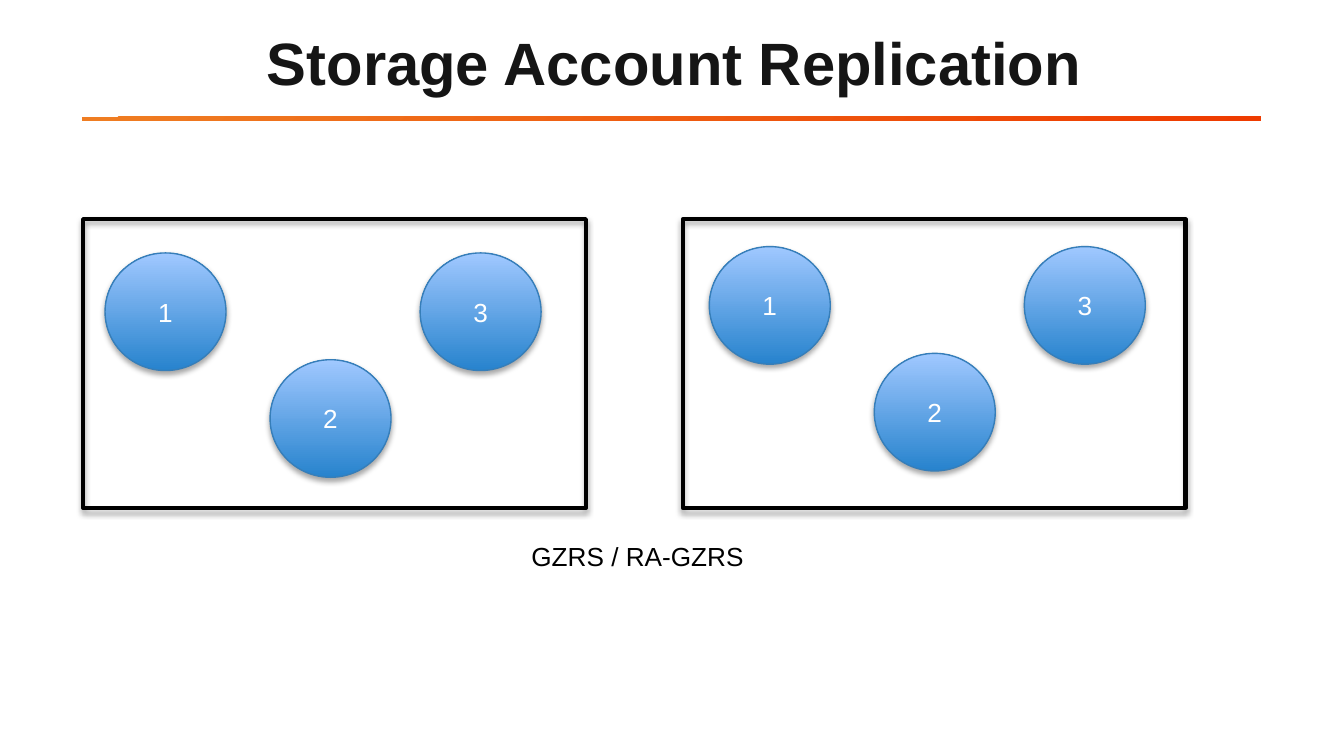
from lxml.etree import SubElement
from pptx import Presentation
from pptx.dml.color import RGBColor
from pptx.enum.shapes import MSO_SHAPE as Shape
from pptx.enum.text import MSO_ANCHOR as Anchor, MSO_AUTO_SIZE as AutoSize, PP_ALIGN as Align
from pptx.oxml.ns import qn
from pptx.util import Pt

BLACK = RGBColor(0x00, 0x00, 0x00)
WHITE = RGBColor(0xFF, 0xFF, 0xFF)
INK = RGBColor(0x15, 0x15, 0x15)
ORANGE = RGBColor(0xEF, 0x7D, 0x22)
RED = RGBColor(0xEE, 0x3B, 0x00)
DEEP_BLUE = RGBColor(0x27, 0x83, 0xCD)
PALE_BLUE = RGBColor(0xA0, 0xC8, 0xFF)
EDGE_BLUE = RGBColor(0x36, 0x7E, 0xB9)


class SlideBuilder:
    font_name = "Arial"
    body_size = 14

    def __init__(self, page):
        self.page = page

    def label(self, box, text, color, size=body_size, bold=False, anchor=Anchor.MIDDLE):
        frame = box.text_frame
        frame.word_wrap = True
        frame.vertical_anchor = anchor
        para = frame.paragraphs[0]
        para.alignment = Align.CENTER
        span = para.add_run()
        span.text = text
        for name, value in {"name": self.font_name, "size": Pt(size), "bold": bold}.items():
            setattr(span.font, name, value)
        span.font.color.rgb = color

    def text(self, left, top, width, height, text, color, **style):
        box = self.page.shapes.add_textbox(Pt(left), Pt(top), Pt(width), Pt(height))
        self.label(box, text, color, **style)
        return box

    def shape(self, kind, left, top, width, height, gradient=None, angle=0,
              line=None, line_width=0, shadow=False):
        shape = self.page.shapes.add_shape(kind, Pt(left), Pt(top), Pt(width), Pt(height))
        shape.shadow.inherit = False
        if gradient:
            shape.fill.gradient()
            shape.fill.gradient_angle = angle
            for stop, color in zip(shape.fill.gradient_stops, gradient):
                stop.color.rgb = color
        else:
            shape.fill.background()
        if line is None:
            shape.line.fill.background()
        else:
            shape.line.color.rgb = line
            shape.line.width = Pt(line_width)
        if shadow:
            self.drop_shadow(shape)
        return shape

    def drop_shadow(self, shape):
        effects = shape._element.spPr.find(qn("a:effectLst"))
        outer = SubElement(effects, qn("a:outerShdw"), blurRad=str(Pt(3.1)),
                           dist=str(Pt(1.8)), dir="5400000", rotWithShape="0")
        color = SubElement(outer, qn("a:srgbClr"), val=str(BLACK))
        SubElement(color, qn("a:alpha"), val="35000")

    def region(self, left, top):
        self.shape(Shape.RECTANGLE, left, top, 269.3, 154.8,
                   line=BLACK, line_width=2.25, shadow=True)

    def replica(self, left, top, number):
        circle = self.shape(Shape.OVAL, left, top, 64.8, 63, gradient=(DEEP_BLUE, PALE_BLUE),
                            angle=90, line=EDGE_BLUE, line_width=0.75, shadow=True)
        self.label(circle, str(number), WHITE)


def main():
    deck = Presentation()
    deck.slide_width, deck.slide_height = Pt(720), Pt(405)
    builder = SlideBuilder(deck.slides.add_slide(deck.slide_layouts[6]))

    # Title and rule
    builder.shape(Shape.RECTANGLE, 44, 62.5, 631.5, 2.2, gradient=(ORANGE, RED), angle=315)
    title = builder.text(1.4, -0.7, 720, 67.7, "Storage Account Replication", INK,
                         size=32, bold=True)
    for side in ("left", "top", "right", "bottom"):
        setattr(title.text_frame, f"margin_{side}", Pt(7.2))

    # Two regions, each with three replicas
    replica_offsets = ((0, 0), (88.4, 57.2), (168.8, 0))
    regions = ((44.6, 56.3, 135.5), (365.8, 380, 132.1))
    for region_left, first_left, first_top in regions:
        builder.region(region_left, 117.4)
        for number, (across, down) in enumerate(replica_offsets, 1):
            builder.replica(first_left + across, first_top + down, number)

    # Caption
    caption = builder.text(44.6, 285.8, 594, 28.8, "GZRS / RA-GZRS", BLACK, anchor=Anchor.TOP)
    caption.text_frame.auto_size = AutoSize.SHAPE_TO_FIT_TEXT

    deck.save("out.pptx")


if __name__ == "__main__":
    main()
